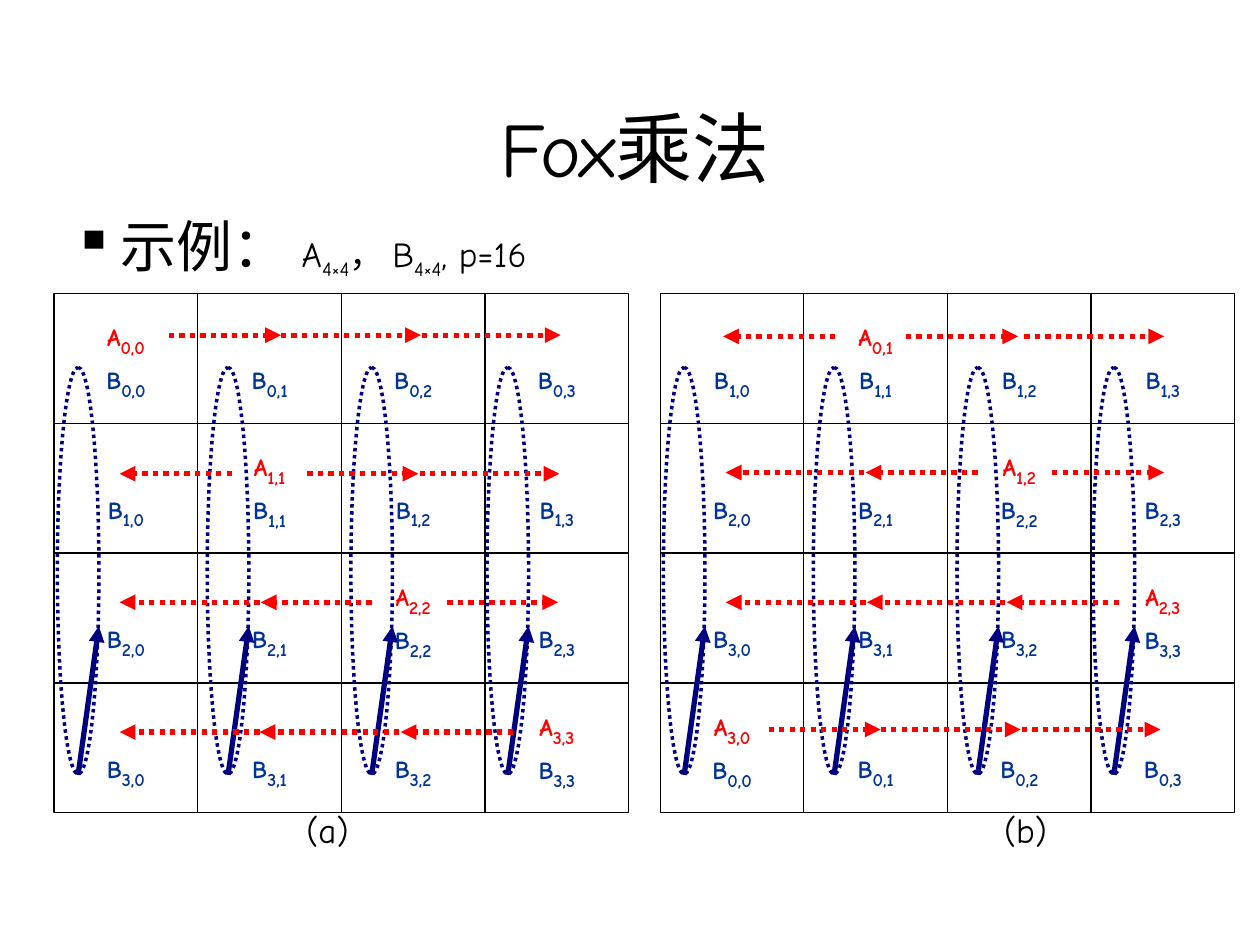
from lxml import etree
from pptx import Presentation
from pptx.dml.color import RGBColor
from pptx.enum.dml import MSO_LINE
from pptx.enum.shapes import MSO_CONNECTOR, MSO_SHAPE
from pptx.enum.text import MSO_ANCHOR, PP_ALIGN
from pptx.oxml.ns import qn
from pptx.util import Inches, Pt

BLACK = RGBColor(0x00, 0x00, 0x00)
RED = RGBColor(0xFF, 0x00, 0x00)
BLUE = RGBColor(0x00, 0x33, 0x99)
NAVY = RGBColor(0x00, 0x00, 0x80)

DOTTED = MSO_LINE.ROUND_DOT
CENTER = PP_ALIGN.CENTER
LATIN_FONT = "Comic Neue"
CJK_FONT = "Noto Sans CJK JP"

SIZE = 4
CELL_WIDTH, CELL_HEIGHT = 1.14, 1.03
GRID_TOP = 2.33
LABEL_LINE = 0.33
LOOP_OFFSETS = (0.19, 1.38, 2.52, 3.6)
LOOP_LENGTH, LOOP_WIDTH, LOOP_MIDDLE = 3.23, 0.33, 4.53

# Each panel: left edge, shift of the step, and rows of (y, [(start x, tip x), ...])
PANELS = (
    (0.43, 0, (
        (2.66, [(1.34, 2.23), (2.23, 3.34), (3.35, 4.45)]),
        (3.76, [(1.84, 0.95), (2.44, 3.32), (3.33, 4.44)]),
        (4.78, [(2.06, 0.95), (2.95, 2.07), (3.55, 4.43)]),
        (5.81, [(2.06, 0.95), (3.17, 2.06), (4.07, 3.18)]),
    )),
    (5.24, 1, (
        (2.67, [(6.63, 5.74), (7.19, 8.08), (8.13, 9.24)]),
        (3.75, [(6.86, 5.76), (7.76, 6.87), (8.35, 9.24)]),
        (4.78, [(6.87, 5.76), (7.98, 6.88), (8.88, 7.99)]),
        (5.79, [(6.1, 6.99), (6.99, 8.1), (8.11, 9.21)]),
    )),
)


def add_run(paragraph, text, size, color=None, font=LATIN_FONT, subscript=False):
    run = paragraph.add_run()
    run.text = text
    run.font.size = Pt(size)
    run.font.name = font
    if color is not None:
        run.font.color.rgb = color
    properties = run.font._element
    etree.SubElement(properties, qn("a:ea"), typeface=CJK_FONT)
    if subscript:
        properties.set("baseline", "-25000")


def add_text_box(slide, left, top, width, height, anchor=MSO_ANCHOR.TOP):
    """Add an empty wrapped text box and return its text frame."""
    text_frame = slide.shapes.add_textbox(
        Inches(left), Inches(top), Inches(width), Inches(height)).text_frame
    text_frame.word_wrap = True
    text_frame.vertical_anchor = anchor
    return text_frame


def add_centered_text(slide, text, size, left, top, width, height):
    paragraph = add_text_box(
        slide, left, top, width, height, MSO_ANCHOR.BOTTOM).paragraphs[0]
    paragraph.alignment = CENTER
    add_run(paragraph, text, size, BLACK)


def add_example_line(slide):
    text_frame = add_text_box(slide, 0.51, 1.65, 8.9, 0.65)
    text_frame.margin_left = text_frame.margin_right = Inches(0.07)
    text_frame.margin_top = text_frame.margin_bottom = Inches(0.03)
    paragraph = text_frame.paragraphs[0]
    properties = paragraph._p.get_or_add_pPr()
    properties.set("marL", str(Inches(0.38)))
    properties.set("indent", str(-Inches(0.38)))
    etree.SubElement(properties, qn("a:buChar"), char="▪")
    add_run(paragraph, "示例： ", 32, BLACK, CJK_FONT)
    for text, subscript in (("A", False), ("4×4", True), ("， B", False),
                            ("4×4", True), (", p=16", False)):
        add_run(paragraph, text, 20, BLACK, subscript=subscript)


def add_outline(slide, preset, left, top, width, height, color, line_width):
    shape = slide.shapes.add_shape(
        preset, Inches(left), Inches(top), Inches(width), Inches(height))
    shape.shadow.inherit = False
    shape.fill.background()
    shape.line.color.rgb = color
    shape.line.width = Pt(line_width)
    return shape


def add_cell(slide, left, top, labels):
    """Add a grid cell; labels are (letter, index, color), the last one on the lower line."""
    cell = add_outline(slide, MSO_SHAPE.RECTANGLE, left, top,
                       CELL_WIDTH, CELL_HEIGHT, BLACK, 0.75)
    text_frame = cell.text_frame
    text_frame.word_wrap = False
    text_frame.vertical_anchor = MSO_ANCHOR.MIDDLE
    if len(labels) == 1:
        text_frame.margin_top = Inches(0.05 + LABEL_LINE)
    for number, (letter, index, color) in enumerate(labels):
        paragraph = text_frame.add_paragraph() if number else text_frame.paragraphs[0]
        paragraph.alignment = CENTER
        paragraph.font.bold = True
        add_run(paragraph, letter, 14, color)
        add_run(paragraph, index, 18, color, subscript=True)


def add_arrow(slide, start, tip, color, dash=None):
    arrow = slide.shapes.add_connector(
        MSO_CONNECTOR.STRAIGHT, *map(Inches, (*start, *tip)))
    arrow.line.color.rgb = color
    arrow.line.width = Pt(3)
    if dash is not None:
        arrow.line.dash_style = dash
    properties = arrow._element.spPr
    etree.SubElement(properties.find(qn("a:ln")), qn("a:tailEnd"), type="triangle")
    etree.SubElement(properties, qn("a:effectLst"))


def add_column_loop(slide, center):
    """Add the dotted loop of a column and the arrow that shows B moving up."""
    loop = add_outline(slide, MSO_SHAPE.OVAL, center - LOOP_LENGTH / 2,
                       LOOP_MIDDLE - LOOP_WIDTH / 2, LOOP_LENGTH, LOOP_WIDTH, NAVY, 2)
    loop.rotation = 90
    loop.line.dash_style = DOTTED
    add_arrow(slide, (center, 6.15), (center + LOOP_WIDTH / 2, 4.97), NAVY)


def add_panel(slide, left, shift, arrow_rows):
    for row in range(SIZE):
        source = (row + shift) % SIZE
        for column in range(SIZE):
            labels = [("B", f"{source},{column}", BLUE)]
            if column == source:
                labels.insert(0, ("A", f"{row},{column}", RED))
            add_cell(slide, left + column * CELL_WIDTH,
                     GRID_TOP + row * CELL_HEIGHT, labels)
    for offset in LOOP_OFFSETS:
        add_column_loop(slide, left + offset)
    for y, spans in arrow_rows:
        for start, tip in spans:
            add_arrow(slide, (start, y), (tip, y), RED, DOTTED)


def main():
    presentation = Presentation()
    presentation.slide_width = Inches(10)
    presentation.slide_height = Inches(7.5)
    slide = presentation.slides.add_slide(presentation.slide_layouts[6])
    add_centered_text(slide, "Fox乘法", 44, 0.75, 0.75, 8.58, 0.83)
    add_example_line(slide)
    for panel in PANELS:
        add_panel(slide, *panel)
    for caption, center in (("(a)", 2.6), ("(b)", 8.14)):
        add_centered_text(slide, caption, 20, center - 0.5, 6.38, 1, 0.42)
    presentation.save("out.pptx")


if __name__ == "__main__":
    main()
